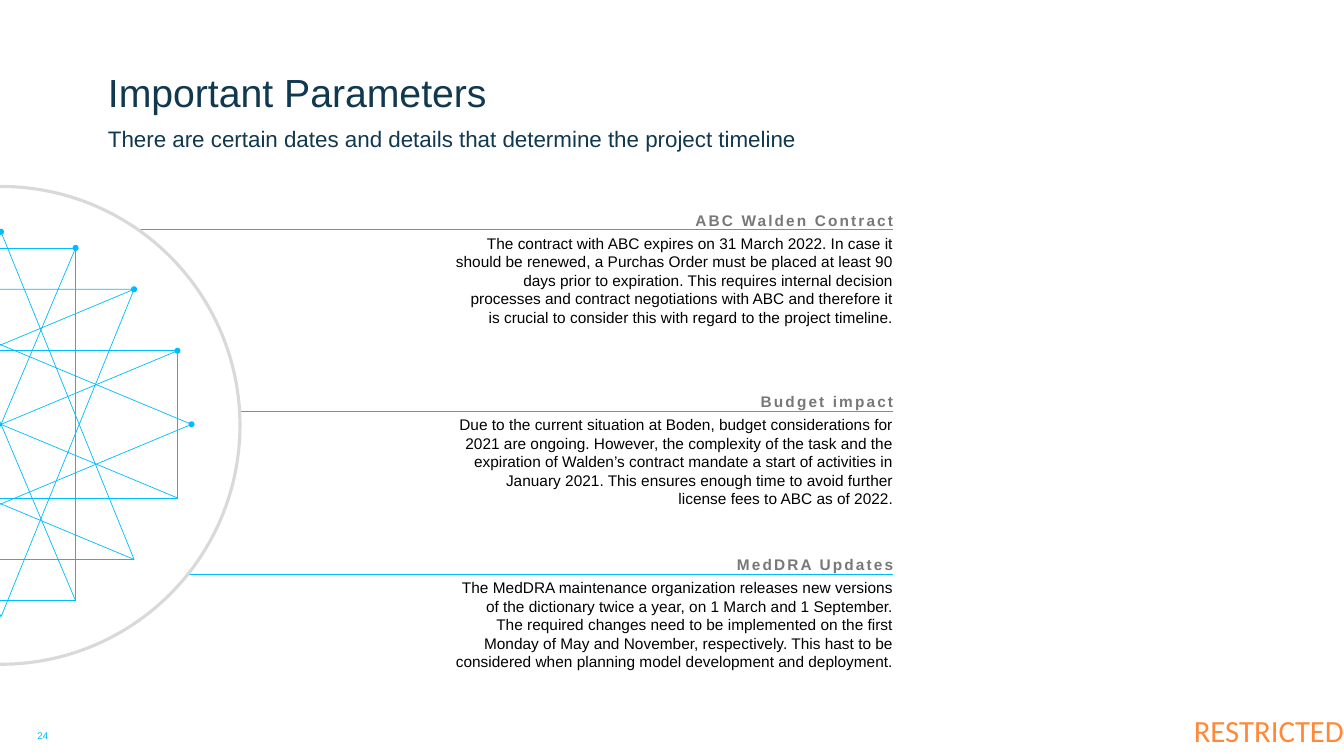
"""Build the slide on the parameters that determine the project timeline."""
from lxml.etree import SubElement
from pptx import Presentation
from pptx.dml.color import RGBColor
from pptx.enum.shapes import MSO_CONNECTOR, MSO_SHAPE
from pptx.enum.text import MSO_ANCHOR, PP_ALIGN
from pptx.oxml.ns import qn
from pptx.util import Inches, Pt

CYAN, NAVY, GRAY = "00BCFF", "10384F", "787878"


def color(hex_value):
    return RGBColor.from_string(hex_value)


def add_text(words, left, top, width, height, size, ink, align=PP_ALIGN.LEFT,
             anchor=MSO_ANCHOR.TOP, face="Arial", bold=False, spacing=0):
    frame = slide.shapes.add_textbox(
        Inches(left), Inches(top), Inches(width), Inches(height)).text_frame
    settings = dict(word_wrap=True, vertical_anchor=anchor, margin_left=0,
                    margin_right=0, margin_top=0, margin_bottom=0)
    for key, value in settings.items():
        setattr(frame, key, value)
    paragraph = frame.paragraphs[0]
    paragraph.alignment = align
    run = paragraph.add_run()
    run.text = words
    for key, value in dict(name=face, size=Pt(size), bold=bold).items():
        setattr(run.font, key, value)
    run.font.color.rgb = color(ink)
    if spacing:
        run._r.get_or_add_rPr().set("spc", str(spacing))


deck = Presentation()
deck.slide_width, deck.slide_height = Inches(13.33), Inches(7.5)
slide = deck.slides.add_slide(deck.slide_layouts[6])

add_text("RESTRICTED", 11.28, 6.99, 2.05, 0.51, 22, "FF8939",
         PP_ALIGN.RIGHT, MSO_ANCHOR.MIDDLE, "Calibri")
add_text("There are certain dates and details that determine the project timeline",
         1.07, 1.24, 11.81, 0.28, 16, NAVY)
add_text("Important Parameters", 1.07, 0.2, 11.81, 0.94, 28, NAVY,
         anchor=MSO_ANCHOR.BOTTOM)
add_text("24", 0.21, 7.24, 0.43, 0.12, 7, CYAN, PP_ALIGN.CENTER)

parameters = [
    ("ABC Walden Contract", 2.28, 1.36,
     "The contract with ABC expires on 31 March 2022. In case it should be renewed, "
     "a Purchas Order must be placed at least 90 days prior to expiration. This "
     "requires internal decision processes and contract negotiations with ABC and "
     "therefore it is crucial to consider this with regard to the project timeline."),
    ("Budget impact", 4.08, 2.36,
     "Due to the current situation at Boden, budget considerations for 2021 are "
     "ongoing. However, the complexity of the task and the expiration of Walden’s "
     "contract mandate a start of activities in January 2021. This ensures enough "
     "time to avoid further license fees to ABC as of 2022."),
    ("MedDRA Updates", 5.7, 1.87,
     "The MedDRA maintenance organization releases new versions of the dictionary "
     "twice a year, on 1 March and 1 September. The required changes need to be "
     "implemented on the first Monday of May and November, respectively. This hast "
     "to be considered when planning model development and deployment."),
]
strokes = []
for heading, rule_y, rule_start, details in parameters:
    add_text(heading, 4.52, rule_y - 0.19, 4.34, 0.19, 11, GRAY,
             PP_ALIGN.RIGHT, bold=True, spacing=150)
    add_text(details, 4.52, rule_y + 0.04, 4.34, 0.93, 11, "000000", PP_ALIGN.RIGHT)
    strokes.append(((8.86, rule_y), (rule_start, rule_y), 0.75))

center_x, center_y = 0.01, 4.21
quarter = [(0, 1.91), (0.74, 1.75), (1.32, 1.34), (1.75, 0.73), (1.89, 0)]
right_half = quarter + [(x, -y) for x, y in quarter[-2::-1]]
ring = right_half + [(-x, y) for x, y in right_half[-2:0:-1]]
nodes = [(center_x + x, center_y - y) for x, y in ring]

for corners in [(0, 6, 10), (8, 14, 2), (3, 5, 11, 13), (1, 7, 9, 15)]:
    points = [(Inches(nodes[i][0]), Inches(nodes[i][1])) for i in corners]
    builder = slide.shapes.build_freeform(*points[0])
    builder.add_line_segments(points[1:], close=True)
    polygon = builder.convert_to_shape()
    polygon.shadow.inherit = False
    polygon.fill.background()
    polygon.line.color.rgb = color(CYAN)
    polygon.line.width = Pt(0.5)

chords = [(5, 13), (4, 14), (6, 12), (11, 3), (12, 2), (10, 4), (7, 15), (9, 1)]
strokes += [(nodes[a], nodes[b], 0.5) for a, b in chords]
for start, end, weight in strokes:
    stroke = slide.shapes.add_connector(
        MSO_CONNECTOR.STRAIGHT, *[Inches(v) for v in (*start, *end)])
    stroke.line.color.rgb = color(CYAN)
    stroke.line.width = Pt(weight)
    SubElement(stroke._element.spPr, qn("a:effectLst"))

for x, y in nodes[:5]:
    dot = slide.shapes.add_shape(MSO_SHAPE.OVAL, Inches(x - 0.03), Inches(y - 0.03),
                                 Inches(0.06), Inches(0.06))
    dot.shadow.inherit = False
    dot.fill.solid()
    dot.fill.fore_color.rgb = color(CYAN)
    dot.line.fill.background()

circle = slide.shapes.add_shape(MSO_SHAPE.OVAL, Inches(-2.36), Inches(1.85),
                                Inches(4.74), Inches(4.74))
circle.shadow.inherit = False
circle.fill.background()
circle.line.color.rgb = color("D9D9D9")
circle.line.width = Pt(2.25)

deck.save("out.pptx")
